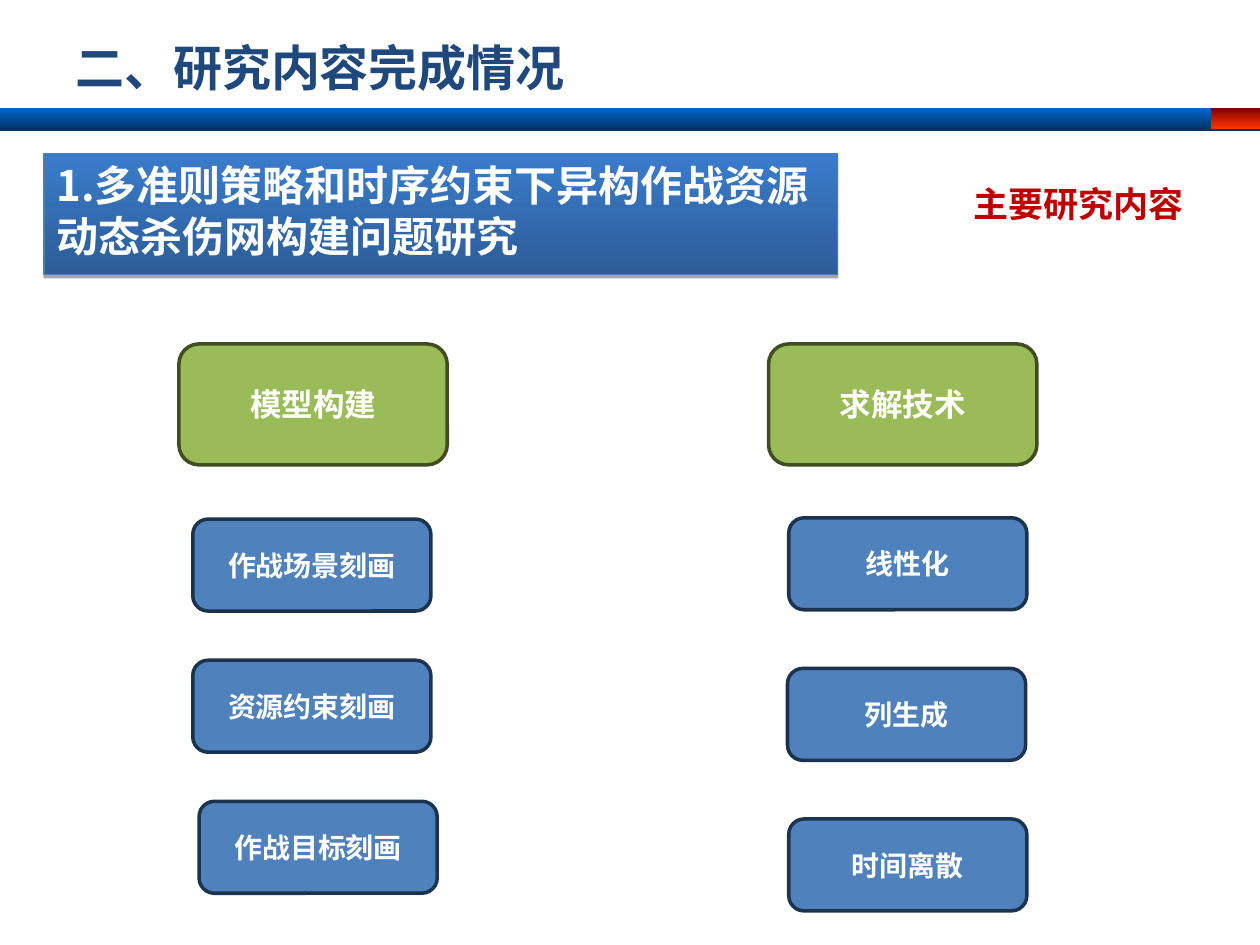
from dataclasses import dataclass

from lxml.etree import SubElement
from pptx import Presentation
from pptx.dml.color import RGBColor
from pptx.enum.shapes import MSO_SHAPE as Preset
from pptx.enum.text import MSO_ANCHOR as Anchor, PP_ALIGN as Align
from pptx.oxml.ns import qn
from pptx.util import Inches, Pt


@dataclass(frozen=True)
class Theme:
    cjk_font: str = "Noto Sans CJK SC"
    node_font: str = "Lato"
    tag_font: str = "Times New Roman"
    white: str = "FFFFFF"
    title: str = "1F497D"
    tag: str = "C00000"
    bar: tuple[str, str] = ("0066CC", "002F5E")
    bar_end: tuple[str, str] = ("800000", "FF3300")
    banner: tuple[str, str] = ("3A7CCB", "2C5D98")
    banner_line: str = "4A7EBB"
    title_size: int = 28
    banner_size: int = 24
    tag_size: int = 20


@dataclass(frozen=True)
class NodeStyle:
    width: float
    height: float
    fill: str
    line: str
    size: int


@dataclass(frozen=True)
class Column:
    heading: str
    heading_left: float
    steps: tuple[str, ...]
    step_lefts: tuple[float, ...]
    first_top: float
    pitch: float


THEME = Theme()
HEADING = NodeStyle(2.13, 0.96, "9BBB59", "3F4D21", 18)
STEP = NodeStyle(1.89, 0.73, "4F81BD", "1C334E", 16)
HEADING_TOP = 2.73
COLUMNS = (
    Column("模型构建", 1.42, ("作战场景刻画", "资源约束刻画", "作战目标刻画"),
           (1.53, 1.53, 1.58), 4.12, 1.12),
    Column("求解技术", 6.1, ("线性化", "列生成", "时间离散"),
           (6.26, 6.25, 6.26), 4.11, 1.195),
)


def rgb(value: str) -> RGBColor:
    return RGBColor.from_string(value)


def write(box, text: str, *, size: int, color: str, font: str,
          align=Align.LEFT, anchor=Anchor.TOP) -> None:
    frame = box.text_frame
    frame.word_wrap = True
    frame.vertical_anchor = anchor
    para = frame.paragraphs[0]
    para.alignment = align
    span = para.add_run()
    span.text = text
    span.font.name = font
    span.font.size = Pt(size)
    span.font.bold = True
    span.font.color.rgb = rgb(color)
    east_asian = SubElement(span.font._element, qn("a:ea"))
    east_asian.set("typeface", THEME.cjk_font)


def add_text(page, left: float, top: float, width: float, height: float,
             text: str, **style) -> None:
    box = page.shapes.add_textbox(Inches(left), Inches(top), Inches(width), Inches(height))
    write(box, text, **style)


def add_gradient(page, left: float, top: float, width: float, height: float,
                 colors: tuple[str, str]):
    """Add a borderless rectangle shaded from top to bottom."""
    box = page.shapes.add_shape(Preset.RECTANGLE, Inches(left), Inches(top),
                                Inches(width), Inches(height))
    box.shadow.inherit = False
    box.line.fill.background()
    box.fill.gradient()
    box.fill.gradient_angle = 270
    for stop, color in zip(box.fill.gradient_stops, colors):
        stop.color.rgb = rgb(color)
    return box


def add_drop_shadow(box) -> None:
    effects = box._element.spPr.find(qn("a:effectLst"))
    shadow = SubElement(effects, qn("a:outerShdw"), blurRad="0", dist=str(Pt(1.8)),
                        dir="5400000", rotWithShape="0")
    color = SubElement(shadow, qn("a:srgbClr"), val="000000")
    SubElement(color, qn("a:alpha"), val="35000")


def add_node(page, left: float, top: float, text: str, style: NodeStyle) -> None:
    box = page.shapes.add_shape(Preset.ROUNDED_RECTANGLE, Inches(left), Inches(top),
                                Inches(style.width), Inches(style.height))
    box.shadow.inherit = False
    box.fill.solid()
    box.fill.fore_color.rgb = rgb(style.fill)
    box.line.color.rgb = rgb(style.line)
    box.line.width = Pt(2)
    write(box, text, size=style.size, color=THEME.white, font=THEME.node_font,
          align=Align.CENTER, anchor=Anchor.MIDDLE)


def add_column(page, column: Column) -> None:
    add_node(page, column.heading_left, HEADING_TOP, column.heading, HEADING)
    for row, (text, left) in enumerate(zip(column.steps, column.step_lefts)):
        add_node(page, left, column.first_top + row * column.pitch, text, STEP)


def main() -> None:
    deck = Presentation()
    deck.slide_width, deck.slide_height = Inches(10), Inches(7.5)
    page = deck.slides.add_slide(deck.slide_layouts[6])

    add_gradient(page, 0, 0.86, 10, 0.18, THEME.bar)
    add_gradient(page, 9.61, 0.86, 0.39, 0.16, THEME.bar_end)
    add_text(page, 0.5, 0.21, 9, 0.64, "二、研究内容完成情况", size=THEME.title_size,
             color=THEME.title, font=THEME.cjk_font, anchor=Anchor.MIDDLE)

    banner = add_gradient(page, 0.35, 1.22, 6.3, 0.96, THEME.banner)
    banner.line.color.rgb = rgb(THEME.banner_line)
    banner.line.width = Pt(0.75)
    add_drop_shadow(banner)
    write(banner, "1.多准则策略和时序约束下异构作战资源动态杀伤网构建问题研究",
          size=THEME.banner_size, color=THEME.white, font=THEME.cjk_font)

    for column in COLUMNS:
        add_column(page, column)

    add_text(page, 7.63, 1.4, 2, 0.44, "主要研究内容", size=THEME.tag_size,
             color=THEME.tag, font=THEME.tag_font)
    deck.save("out.pptx")


if __name__ == "__main__":
    main()
